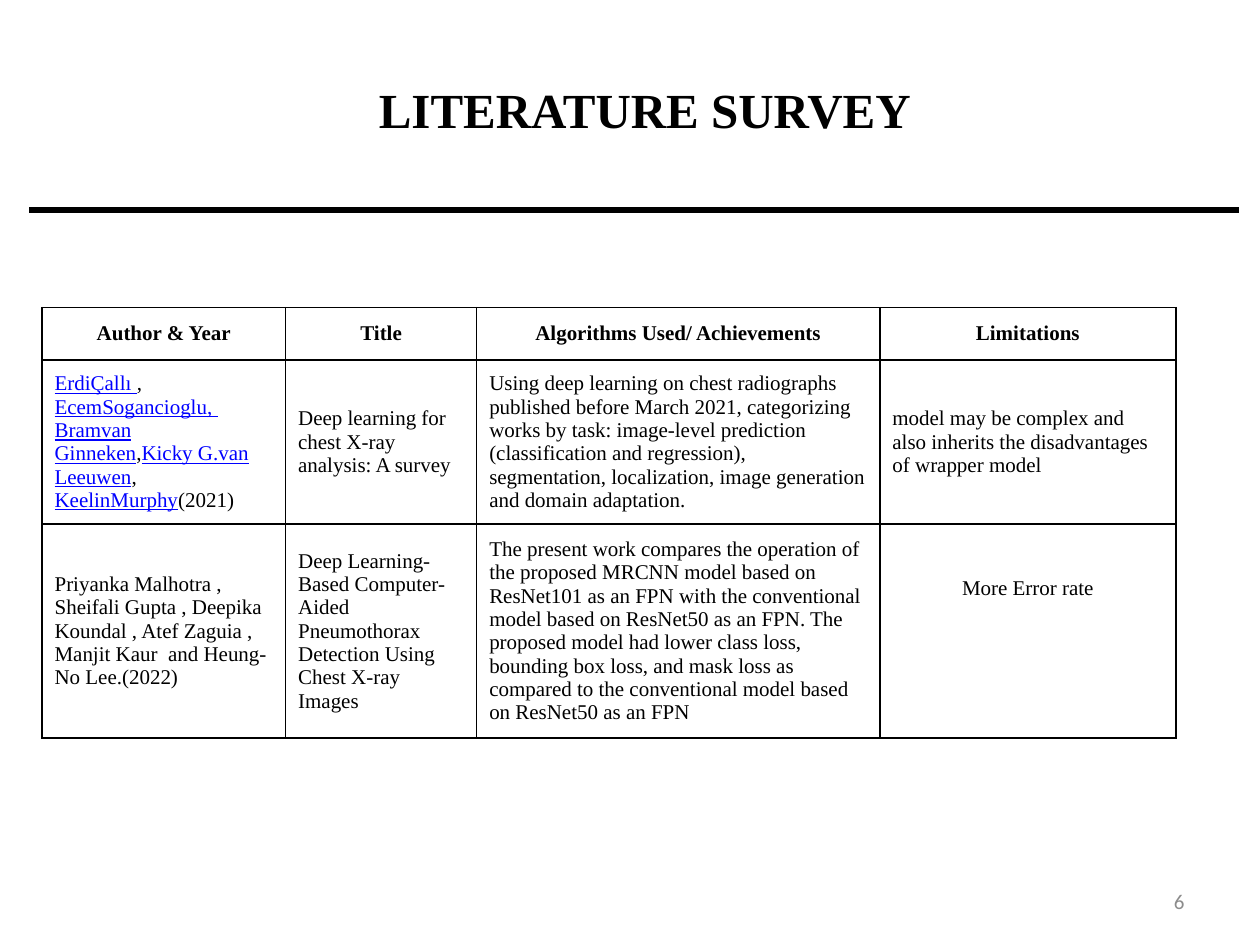
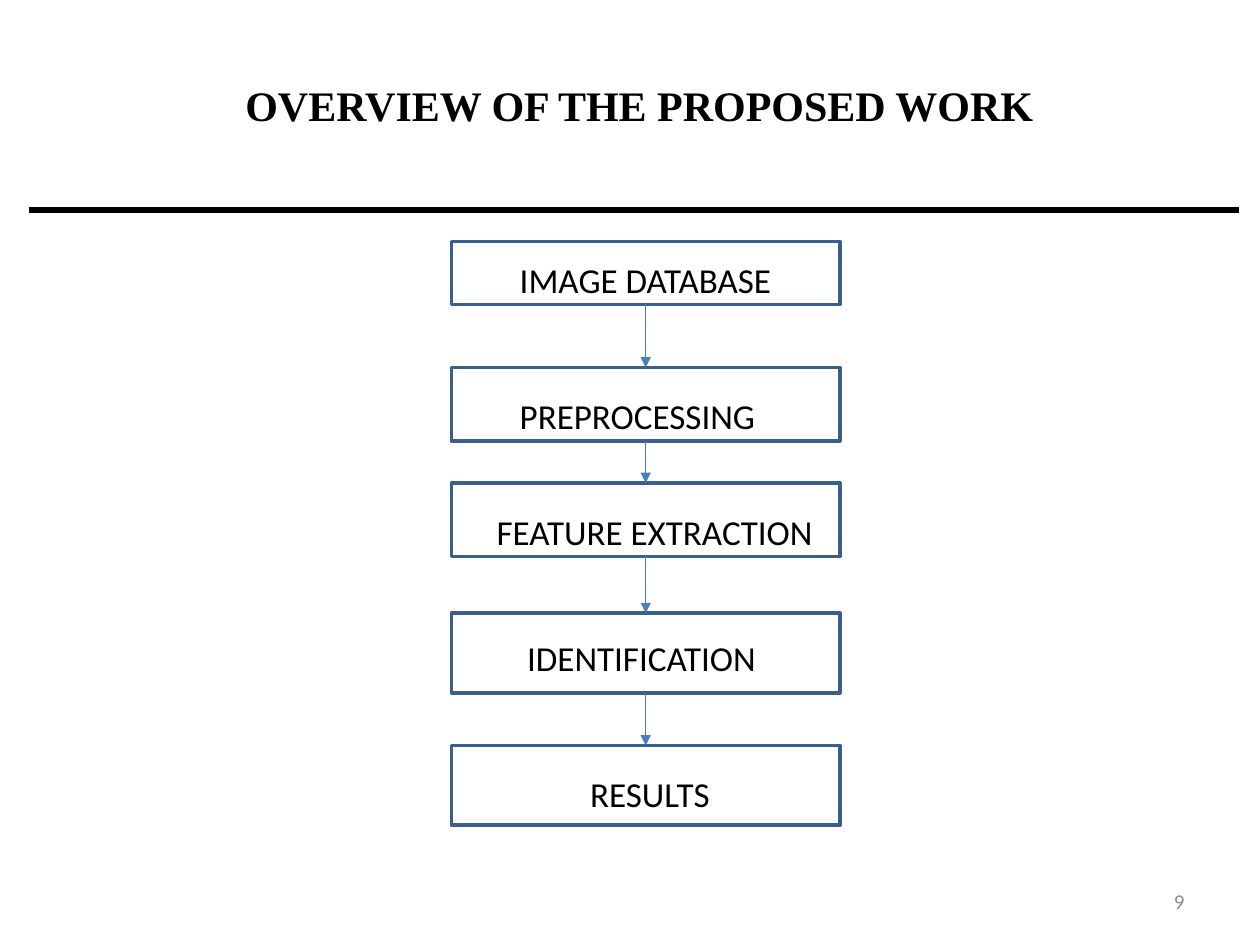
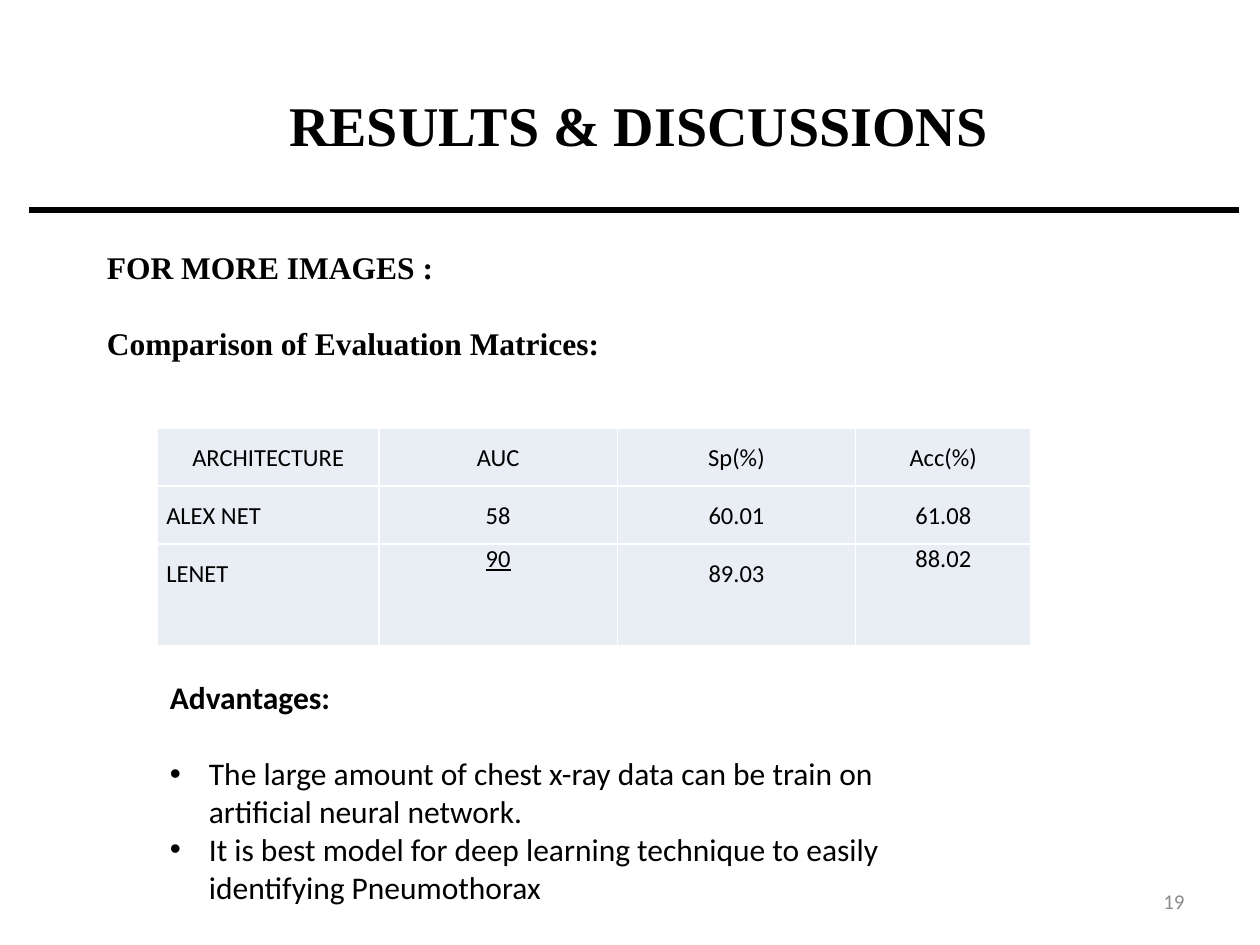
from itertools import pairwise

from lxml.etree import SubElement
from pptx import Presentation
from pptx.dml.color import RGBColor
from pptx.enum.shapes import MSO_CONNECTOR, MSO_SHAPE
from pptx.enum.text import MSO_ANCHOR, PP_ALIGN
from pptx.oxml.ns import qn
from pptx.util import Inches, Pt

COLORS = {"ink": "000000", "link": "0000FF", "number": "8C8C8C", "step": "3A5F8C",
          "arrow": "4B7EBC", "cell": "E9EDF4", "gap": "FFFFFF"}
SERIF = {"name": "Times New Roman", "size": Pt(12)}
SANS = {"name": "Calibri", "size": Pt(12)}
LINK = {"underline": True, "color": COLORS["link"]}
BOLD = {"bold": True}
CENTER = {"alignment": PP_ALIGN.CENTER}

SURVEY_HEADS = ["Author & Year", "Title", "Algorithms Used/ Achievements", "Limitations"]
SURVEY = [
    [[("ErdiÇallı ", LINK), (", ", {}), ("EcemSogancioglu, ", LINK), (" ", {}),
      ("Bramvan Ginneken", LINK), (",", {}), ("Kicky G.van Leeuwen", LINK), (", ", {}),
      ("KeelinMurphy", LINK), ("(2021)", {})],
     "Deep learning for chest X-ray analysis: A survey",
     "Using deep learning on chest radiographs published before March 2021, categorizing "
     "works by task: image-level prediction (classification and regression), segmentation, "
     "localization, image generation and domain adaptation.",
     "model may be complex and also inherits the disadvantages of wrapper model"],
    ["Priyanka Malhotra , Sheifali Gupta , Deepika Koundal , Atef Zaguia , "
     "Manjit Kaur  and Heung-No Lee.(2022)",
     "Deep Learning-Based Computer-Aided Pneumothorax Detection Using Chest X-ray Images",
     "The present work compares the operation of the proposed MRCNN model based on ResNet101 "
     "as an FPN with the conventional model based on ResNet50 as an FPN. The proposed model "
     "had lower class loss, bounding box loss, and mask loss as compared to the conventional "
     "model based on ResNet50 as an FPN",
     "More Error rate"],
]
STEPS = [
    ("IMAGE DATABASE", 0, 6, 1, 5.3),
    ("PREPROCESSING", 12, 7, 14, 5.3),
    ("FEATURE EXTRACTION", 23, 7, 25, 3.1),
    ("IDENTIFICATION", 35.4, 7.6, 37, 6),
    ("RESULTS", 48, 7.6, 50, 12),
]
SCORES = [
    ["ARCHITECTURE", "AUC", "Sp(%)", "Acc(%)"],
    ["ALEX NET", "58", "60.01", "61.08"],
    ["LENET", [("90", {"underline": True})], "89.03", "88.02"],
]
ADVANTAGES = ["The large amount of chest x-ray data can be train on artificial neural network.",
              "It is best model for deep learning technique to easily identifying Pneumothorax"]


def grid(*cells):
    """Turn cells of the 120 by 90 slide grid into lengths."""
    return [Inches(cell / 12) for cell in cells]


def rgb(value):
    """Turn a hex string into a colour."""
    return RGBColor.from_string(value)


def apply(target, values):
    """Set each named value on the target."""
    for key, value in values.items():
        setattr(target, key, value)


def write(paragraph, content, style, layout=None):
    """Fill a paragraph with plain text or a list of styled runs."""
    apply(paragraph, layout or {})
    for words, extra in [(content, {})] if isinstance(content, str) else content:
        run = paragraph.add_run()
        run.text = words
        looks = {"color": COLORS["ink"], **style, **extra}
        run.font.color.rgb = rgb(looks.pop("color"))
        apply(run.font, looks)


def text_frame(slide, box, **values):
    """Add a text box on the grid and return its frame."""
    frame = slide.shapes.add_textbox(*grid(*box)).text_frame
    apply(frame, {"word_wrap": True, **values})
    return frame


def line(slide, ends, color, width, arrow=False):
    """Draw a straight line, with an arrowhead if asked."""
    rule = slide.shapes.add_connector(MSO_CONNECTOR.STRAIGHT, *grid(*ends))
    rule.line.color.rgb = rgb(color)
    rule.line.width = Pt(width)
    if arrow:
        SubElement(rule.line._get_or_add_ln(), qn("a:tailEnd"), type="triangle")
    SubElement(rule._element.spPr, qn("a:effectLst"))


def border(cell, color):
    """Give a cell a one point border on all sides."""
    for side in ("lnL", "lnR", "lnT", "lnB"):
        edge = SubElement(cell._tc.get_or_add_tcPr(), qn(f"a:{side}"), w=str(Pt(1)))
        SubElement(SubElement(edge, qn("a:solidFill")), qn("a:srgbClr"), val=color)


def plain_table(slide, corner, columns, rows, color):
    """Add an unstyled table with borders and return it."""
    box = grid(*corner, sum(columns), sum(rows))
    table = slide.shapes.add_table(len(rows), len(columns), *box).table
    apply(table, {"first_row": False, "horz_banding": False})
    for column, width in zip(table.columns, grid(*columns)):
        column.width = width
    for row, height in zip(table.rows, grid(*rows)):
        row.height = height
    for cell in table.iter_cells():
        border(cell, color)
    return table


def titled_slide(deck, title, box, size, number):
    """Add a slide with its title, rule and number."""
    slide = deck.slides.add_slide(deck.slide_layouts[6])
    page = text_frame(slide, (86, 83.4, 28, 4.8), vertical_anchor=MSO_ANCHOR.MIDDLE)
    write(page.paragraphs[0], number, {**SANS, "color": COLORS["number"]},
          {"alignment": PP_ALIGN.RIGHT})
    line(slide, (2.8, 20, 118, 20), COLORS["ink"], 3)
    heading = text_frame(slide, box, word_wrap=False)
    write(heading.paragraphs[0], title, {**SERIF, **BOLD, "size": Pt(size)}, CENTER)
    return slide


def survey_table(slide, corner):
    """Place the table of surveyed papers."""
    table = plain_table(slide, corner, (23.2, 18.2, 38.4, 28.2), (5, 15.6, 20.4), COLORS["ink"])
    for r, row in enumerate([SURVEY_HEADS, *SURVEY]):
        for c, content in enumerate(row):
            cell = table.cell(r, c)
            cell.fill.background()
            cell.vertical_anchor = MSO_ANCHOR.MIDDLE
            write(cell.text_frame.paragraphs[0], content, {**SERIF, "bold": r == 0},
                  CENTER if r == 0 else None)
    remark = table.cell(2, 3)
    apply(remark, {"vertical_anchor": MSO_ANCHOR.TOP, "margin_top": Inches(0.42)})
    apply(remark.text_frame.paragraphs[0], CENTER)


def workflow(slide, left, top, width):
    """Stack the work steps and join them with arrows."""
    for label, offset, height, label_offset, indent in STEPS:
        step = slide.shapes.add_shape(MSO_SHAPE.RECTANGLE,
                                      *grid(left, top + offset, width, height))
        step.shadow.inherit = False
        step.fill.background()
        step.line.color.rgb = rgb(COLORS["step"])
        step.line.width = Pt(2)
        frame = text_frame(slide, (left, top + label_offset, width, 5.3),
                           margin_left=grid(1.2 + indent)[0])
        write(frame.paragraphs[0], label, {**SANS, "size": Pt(20)})
    middle = left + width / 2
    for (_, offset, height, *_), (_, following, *_) in pairwise(STEPS):
        line(slide, (middle, top + offset + height, middle, top + following),
             COLORS["arrow"], 0.75, arrow=True)


def score_table(slide, corner):
    """Place the table of network scores."""
    table = plain_table(slide, corner, (21.1, 22.7, 22.7, 16.7), (5.5, 5.5, 9.7), COLORS["gap"])
    for r, row in enumerate(SCORES):
        for c, content in enumerate(row):
            cell = table.cell(r, c)
            cell.fill.solid()
            cell.fill.fore_color.rgb = rgb(COLORS["cell"])
            apply(cell, {"margin_left": Inches(0.07), "margin_right": Inches(0.07),
                         "margin_top": 0, "margin_bottom": 0})
            single = r == 2 and c in (1, 3)
            named = r > 0 and c == 0
            write(cell.text_frame.paragraphs[0], content, {**SANS, "size": Pt(14)},
                  {"line_spacing": 1.0 if single else 1.5,
                   "alignment": PP_ALIGN.LEFT if named else PP_ALIGN.CENTER})


def evaluation_heads(slide, box):
    """Place the two headings above the scores."""
    frame = text_frame(slide, box)
    style = {**SERIF, **BOLD, "size": Pt(18)}
    write(frame.paragraphs[0], "FOR MORE IMAGES :", style)
    write(frame.add_paragraph(), "Comparison of Evaluation Matrices:", style,
          {"space_before": Pt(22)})


def advantage_list(slide, box):
    """Place the bulleted advantages under their heading."""
    frame = text_frame(slide, box)
    style = {**SANS, "size": Pt(18)}
    write(frame.paragraphs[0], "Advantages:", {**style, **BOLD})
    for index, advantage in enumerate(ADVANTAGES):
        item = frame.add_paragraph()
        write(item, advantage, style, {"space_before": Pt(0 if index else 22)})
        properties = item._p.get_or_add_pPr()
        properties.set("marL", str(Inches(0.31)))
        properties.set("indent", str(-Inches(0.31)))
        SubElement(properties, qn("a:buFont"), typeface="Arial")
        SubElement(properties, qn("a:buChar"), char="•")


def main():
    """Build the three slides and save them."""
    deck = Presentation()
    apply(deck, {"slide_width": Inches(10), "slide_height": Inches(7.5)})
    survey = titled_slide(deck, "LITERATURE SURVEY", (34.6, 7, 53.6, 6.8), 28, "6")
    survey_table(survey, (4, 29.3))
    overview = titled_slide(deck, "OVERVIEW OF THE PROPOSED WORK ", (21.8, 7, 79.2, 6), 24, "9")
    workflow(overview, 43, 23, 37)
    results = titled_slide(deck, "RESULTS & DISCUSSIONS ", (26, 8, 71, 7.7), 32, "19")
    evaluation_heads(results, (9, 23, 106, 15.7))
    score_table(results, (15, 40.8))
    advantage_list(results, (15, 64, 77, 23))
    deck.save("out.pptx")


if __name__ == "__main__":
    main()
